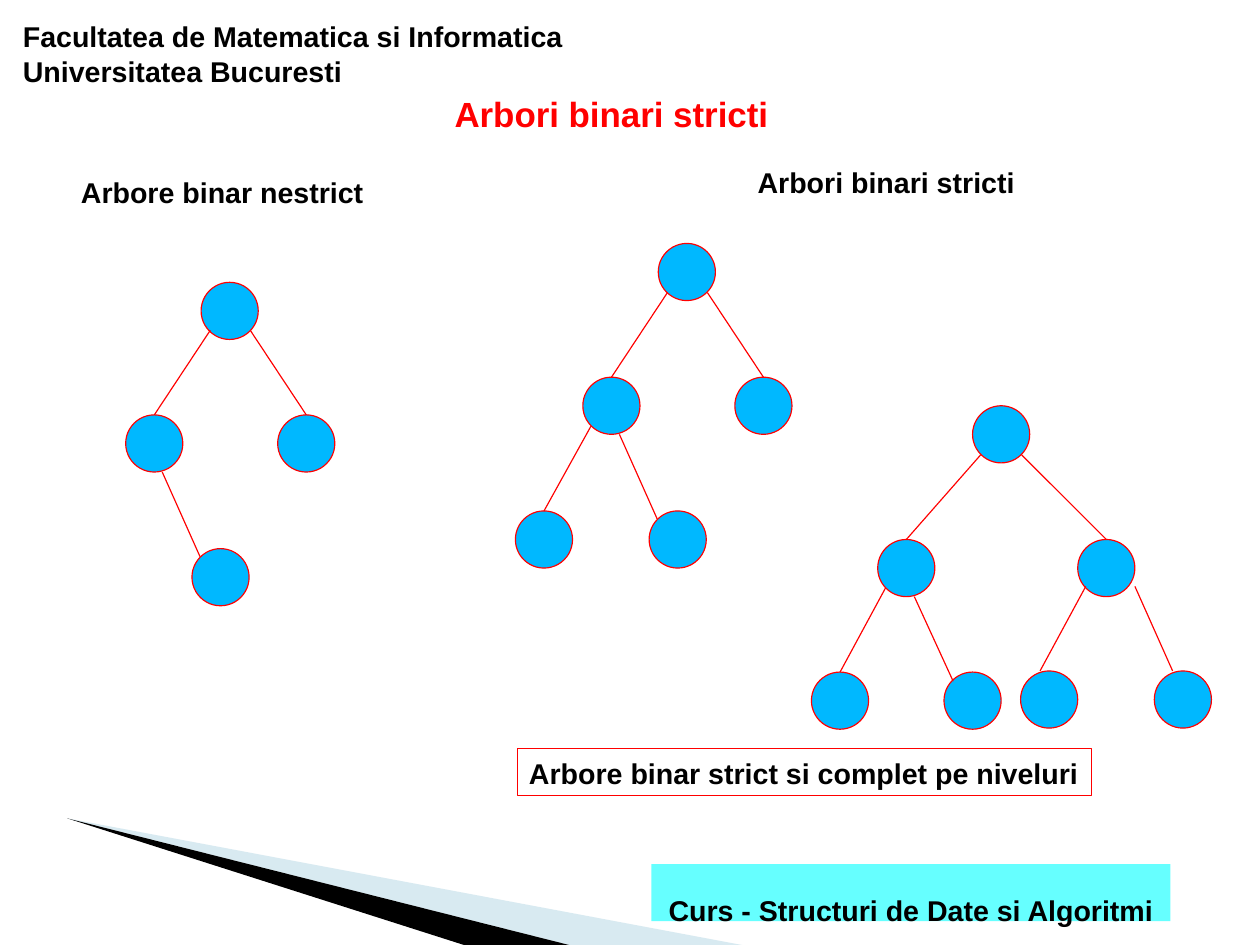
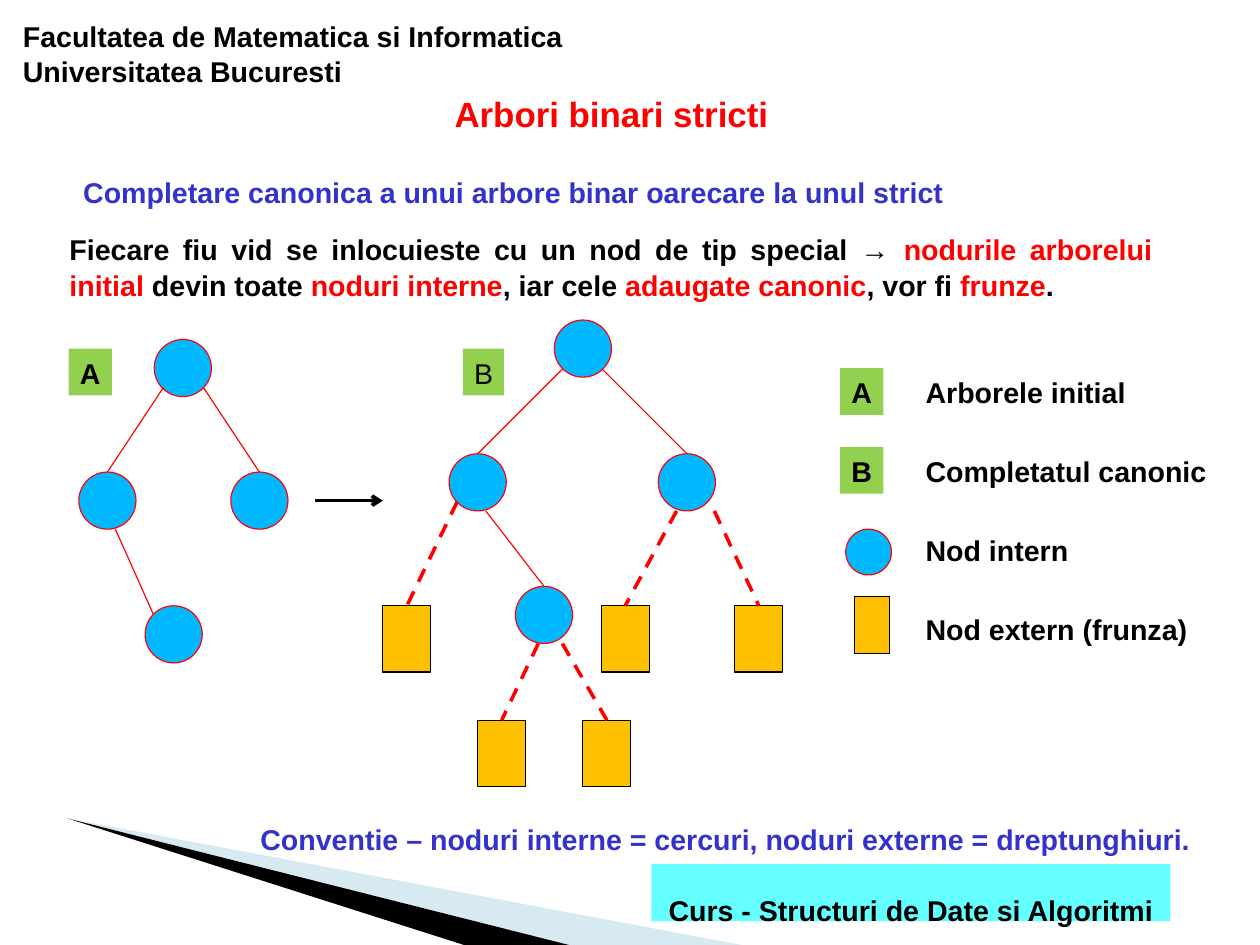
from pptx import Presentation
from pptx import util as u
from pptx.dml.color import RGBColor
from pptx.enum import dml, shapes, text
from pptx.oxml import ns
from lxml import etree

BLACK, RED, BLUE = "000000", "FF0000", "3333CC"
NODE, LEAF, TAG, FOOTER, BAND = "00B8FF", "FFC000", "92D050", "66FFFF", "9FCBDC"
FONT = "Arial"
DIAMETER = 0.5
RECT, OVAL = shapes.MSO_SHAPE.RECTANGLE, shapes.MSO_SHAPE.OVAL
CENTER, JUSTIFY = text.PP_ALIGN.CENTER, text.PP_ALIGN.JUSTIFY

SMALL_NODES = [(0, 0), (-0.66, 1.16), (0.67, 1.16), (-0.08, 2.33)]
SMALL_EDGES = [(0.08, 0.42, -0.41, 1.16), (0.43, 0.42, 0.92, 1.16),
               (-0.34, 1.66, -0.01, 2.4)]
STRICT_NODES = [(0, 0), (-0.66, 1.17), (0.67, 1.17), (-0.08, 2.34), (-1.25, 2.34)]
STRICT_EDGES = [(0.08, 0.43, -0.41, 1.17), (0.43, 0.43, 0.92, 1.17),
                (-0.34, 1.67, -0.01, 2.41), (-0.59, 1.6, -1, 2.34)]
FULL_NODES = [(0, 0), (-0.83, 1.17), (0.92, 1.17), (-1.41, 2.33),
              (-0.25, 2.33), (0.42, 2.32), (1.59, 2.32)]
FULL_EDGES = [(0.07, 0.43, -0.58, 1.17), (0.43, 0.43, 1.17, 1.17),
              (-0.76, 1.59, -1.16, 2.33), (-0.51, 1.67, -0.17, 2.41),
              (0.99, 1.58, 0.59, 2.32), (1.42, 1.58, 1.75, 2.32)]
INNER_NODES = [(0, 0), (-0.92, 1.17), (0.91, 1.17), (-0.34, 2.33)]
INNER_EDGES = [(0.07, 0.43, -0.67, 1.17), (0.42, 0.43, 1.16, 1.17),
               (-0.6, 1.67, -0.09, 2.33)]
LEAVES = [(4, 4.39, 3.35, 5.3), (4.71, 5.63, 4.18, 6.3), (4.92, 5.63, 5.1, 6.3),
          (5.92, 4.47, 5.26, 5.3), (6.25, 4.47, 6.43, 5.3)]
LEGEND = [("Arborele initial", 1.95), ("Completatul canonic", 2.66),
          ("Nod intern", 1.45), ("Nod extern (frunza)", 2.49)]


def rgb(value):
    return RGBColor.from_string(value)


def lengths(*values):
    return [u.Inches(value) for value in values]


def write(shape, content, size=18, color=BLACK, bold=True, align=text.PP_ALIGN.LEFT,
          spacing=1.04, wrap=True, grow=True, anchor=text.MSO_ANCHOR.TOP,
          insets=(0.1, 0.05)):
    frame = shape.text_frame
    frame.word_wrap = wrap
    frame.auto_size = (text.MSO_AUTO_SIZE.SHAPE_TO_FIT_TEXT if grow
                       else text.MSO_AUTO_SIZE.NONE)
    frame.vertical_anchor = anchor
    frame.margin_left = frame.margin_right = u.Inches(insets[0])
    frame.margin_top = frame.margin_bottom = u.Inches(insets[1])
    paragraph = frame.paragraphs[0]
    paragraph.alignment = align
    paragraph.line_spacing = spacing
    parts = [(content, color)] if isinstance(content, str) else content
    for words, part_color in parts:
        run = paragraph.add_run()
        run.text = words
        run.font.name = FONT
        run.font.size = u.Pt(size)
        run.font.bold = bold
        run.font.color.rgb = rgb(part_color)


class Deck:
    def __init__(self):
        self.presentation = Presentation()
        self.presentation.slide_width = u.Pt(793.75)
        self.presentation.slide_height = u.Pt(595.25)
        self.slide = None

    def start(self, title):
        self.slide = self.presentation.slides.add_slide(self.presentation.slide_layouts[6])
        self.wedge([(0.59, 7.16), (6.56, 8.28), (5.03, 8.28)], BAND, 40)
        self.wedge([(0.59, 7.16), (5.03, 8.28), (4.1, 8.28)], BLACK)
        self.label(0.09, 0.09, 5.51, 0.73,
                   "Facultatea de Matematica si Informatica Universitatea Bucuresti",
                   wrap=True, insets=(0.11, 0.06))
        footer = self.shape(RECT, 5.7, 7.56, 4.54, 0.5, FOOTER)
        write(footer, "Curs - Structuri de Date si Algoritmi", align=CENTER,
              spacing=2, grow=False, anchor=text.MSO_ANCHOR.MIDDLE)
        self.label(3.3, 0.8, 4.1, 0.39, title, size=22, color=RED, align=CENTER,
                   spacing=1, wrap=True, insets=(0, 0.01))

    def paint(self, shape, fill, line):
        shape.shadow.inherit = False
        if fill:
            shape.fill.solid()
            shape.fill.fore_color.rgb = rgb(fill)
        else:
            shape.fill.background()
        if line:
            shape.line.color.rgb = rgb(line)
            shape.line.width = u.Pt(0.75)
        else:
            shape.line.fill.background()

    def wedge(self, points, fill, opacity=100):
        tip, *others = [lengths(*point) for point in points]
        builder = self.slide.shapes.build_freeform(*tip)
        builder.add_line_segments(others, close=True)
        shape = builder.convert_to_shape()
        self.paint(shape, fill, None)
        if opacity < 100:
            color = shape.fill._xPr.find(".//" + ns.qn("a:srgbClr"))
            etree.SubElement(color, ns.qn("a:alpha"), val=str(opacity * 1000))

    def shape(self, kind, left, top, width, height, fill=None, line=None):
        shape = self.slide.shapes.add_shape(kind, *lengths(left, top, width, height))
        self.paint(shape, fill, line)
        return shape

    def label(self, left, top, width, height, content, wrap=False, **style):
        box = self.slide.shapes.add_textbox(*lengths(left, top, width, height))
        write(box, content, wrap=wrap, **style)

    def tag(self, left, top, letter, width=0.38, bold=True):
        write(self.shape(RECT, left, top, width, 0.41, TAG), letter, wrap=False, bold=bold)

    def line(self, x1, y1, x2, y2, color=RED, width=0.75, dashed=False, arrow=False):
        connector = self.slide.shapes.add_connector(
            shapes.MSO_CONNECTOR.STRAIGHT, *lengths(x1, y1, x2, y2))
        connector.line.color.rgb = rgb(color)
        connector.line.width = u.Pt(width)
        if dashed:
            connector.line.dash_style = dml.MSO_LINE.DASH
        if arrow:
            etree.SubElement(connector.line._get_or_add_ln(), ns.qn("a:tailEnd"), type="arrow")
        etree.SubElement(connector._element.spPr, ns.qn("a:effectLst"))
        return connector

    def node(self, left, top, diameter=DIAMETER):
        self.shape(OVAL, left, top, diameter, diameter, NODE, RED)

    def tree(self, left, top, nodes, edges):
        for x, y in nodes:
            self.node(left + x, top + y)
        for x1, y1, x2, y2 in edges:
            self.line(left + x1, top + y1, left + x2, top + y2)

    def leaf(self, x, y, left, top, width=0.42, height=0.58):
        leaf = self.shape(RECT, left, top, width, height, LEAF, BLACK)
        edge = self.line(x, y, left + width / 2, top, width=2.25, dashed=True)
        edge.end_connect(leaf, 0)


def strict_trees(deck):
    deck.start("Arbori binari stricti")
    deck.label(0.61, 1.47, 2.67, 0.41, "Arbore binar nestrict")
    deck.label(6.53, 1.38, 2.45, 0.41, "Arbori binari stricti")
    deck.tree(1.76, 2.47, SMALL_NODES, SMALL_EDGES)
    deck.tree(5.76, 2.13, STRICT_NODES, STRICT_EDGES)
    deck.tree(8.51, 3.55, FULL_NODES, FULL_EDGES)
    caption = deck.shape(RECT, 4.53, 6.55, 5.02, 0.41, line=RED)
    write(caption, "Arbore binar strict si complet pe niveluri", wrap=False)


def canonical_completion(deck):
    deck.start("Arbori binari stricti")
    deck.label(0.63, 1.47, 7.73, 0.41,
               "Completare canonica a unui arbore binar oarecare la unul strict", color=BLUE)
    deck.label(0.51, 1.97, 9.67, 0.73, [
        ("Fiecare fiu vid se inlocuieste cu un nod de tip special → ", BLACK),
        ("nodurile arborelui initial", RED), (" devin toate ", BLACK),
        ("noduri interne", RED), (", iar cele ", BLACK),
        ("adaugate canonic", RED), (", vor fi ", BLACK),
        ("frunze", RED), (".", BLACK)], wrap=True, align=JUSTIFY)
    deck.label(2.18, 7.13, 8.42, 0.41,
               "Conventie – noduri interne = cercuri, noduri externe = dreptunghiuri.",
               color=BLUE, wrap=True, align=JUSTIFY)
    deck.tree(1.35, 2.97, SMALL_NODES, SMALL_EDGES)
    deck.tree(4.85, 2.8, INNER_NODES, INNER_EDGES)
    for leaf in LEAVES:
        deck.leaf(*leaf)
    deck.line(2.76, 4.38, 3.35, 4.38, color=BLACK, width=2.25, arrow=True)
    deck.tag(0.6, 3.05, "A")
    deck.tag(4.05, 3.05, "B", width=0.36, bold=False)
    tops = [3.22 + 0.69 * row for row in range(len(LEGEND))]
    for top, (meaning, width) in zip(tops, LEGEND):
        deck.label(8, top, width, 0.41, meaning)
    deck.tag(7.35, tops[0], "A")
    deck.tag(7.35, tops[1], "B")
    deck.node(7.4, 4.63, diameter=0.4)
    deck.shape(RECT, 7.48, 5.22, 0.3, 0.5, LEAF, BLACK)


def main():
    deck = Deck()
    strict_trees(deck)
    canonical_completion(deck)
    deck.presentation.save("out.pptx")


if __name__ == "__main__":
    main()
